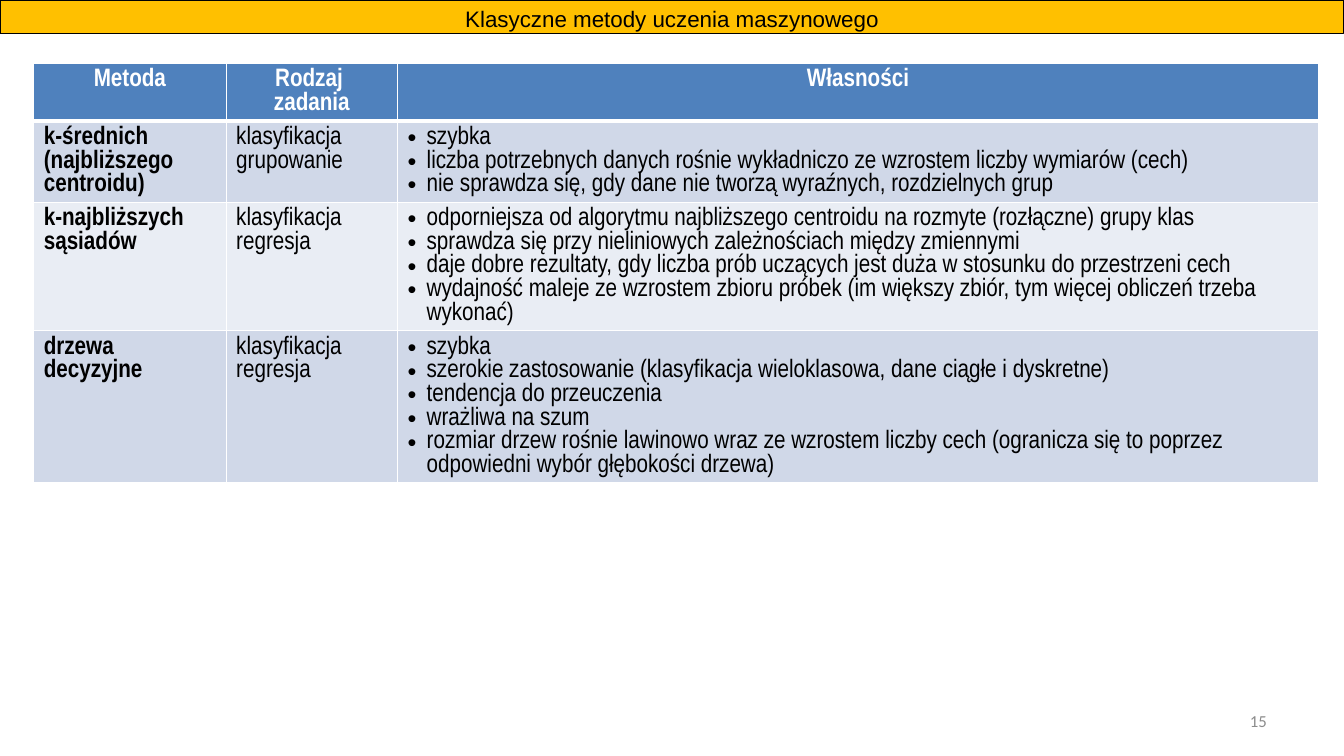
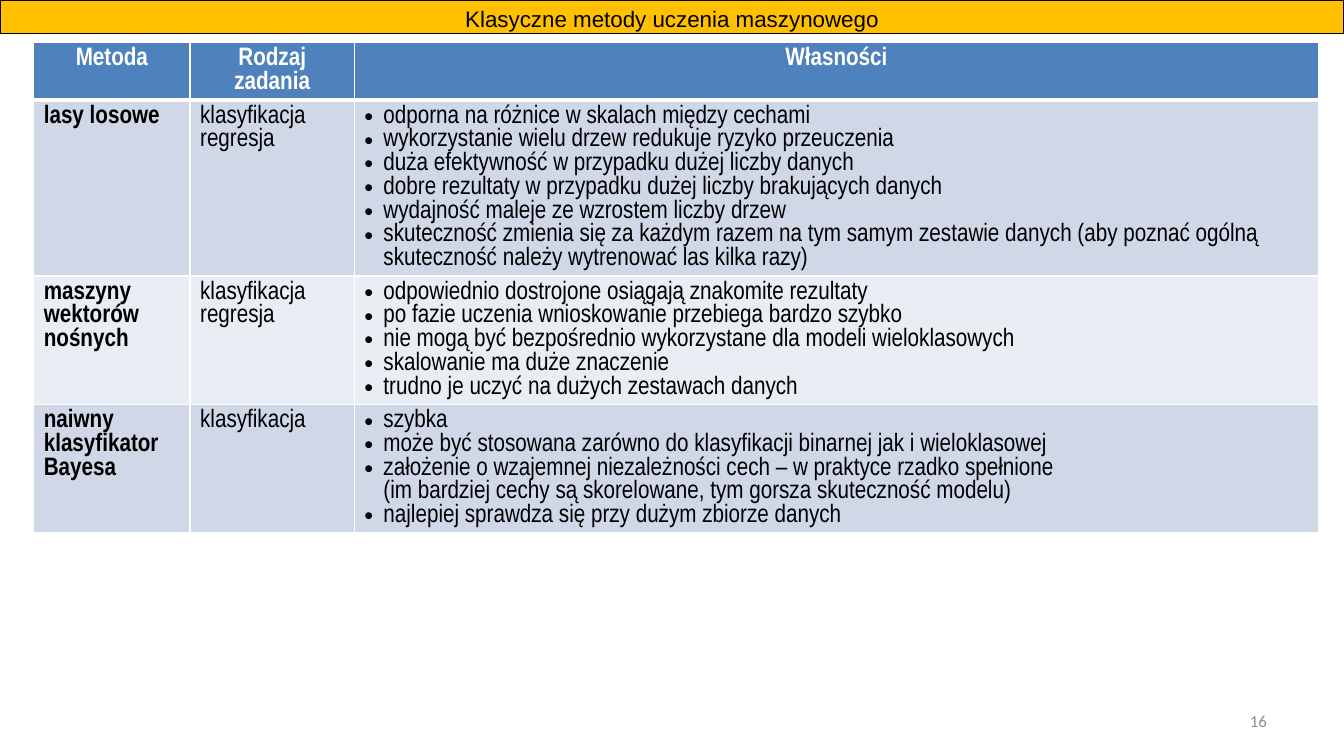
from copy import deepcopy

from lxml import etree
from pptx import Presentation
from pptx.dml.color import RGBColor
from pptx.enum.text import MSO_ANCHOR, MSO_AUTO_SIZE, PP_ALIGN
from pptx.oxml.ns import qn
from pptx.util import Cm, Pt

CENTER, LEFT, RIGHT = PP_ALIGN.CENTER, PP_ALIGN.LEFT, PP_ALIGN.RIGHT
TOP, MIDDLE = MSO_ANCHOR.TOP, MSO_ANCHOR.MIDDLE
NO_AUTOFIT = MSO_AUTO_SIZE.NONE

WHITE = RGBColor(0xFF, 0xFF, 0xFF)
BLACK = RGBColor(0x00, 0x00, 0x00)
AMBER = RGBColor(0xFF, 0xC0, 0x00)
GRAY = RGBColor(0x8C, 0x8C, 0x8C)
BLUE = RGBColor(0x4F, 0x81, 0xBD)
BANDS = (RGBColor(0xD0, 0xD8, 0xE8), RGBColor(0xE9, 0xED, 0xF4))

SLIDE_WIDTH, SLIDE_HEIGHT = Cm(33.87), Cm(19.05)
TABLE_LEFT, TABLE_WIDTH = Cm(0.85), Cm(32.38)
ROW_HEIGHT = Cm(1.03)
BULLET_INDENT = Cm(0.48)
THIN, THICK = Pt(1), Pt(3)
TITLE_ONLY = 5

TITLE = "Klasyczne metody uczenia maszynowego"
TITLE_FONT = {"name": "Arial", "size": Pt(16), "bold": False}
NUMBER_FONT = {"name": "Calibri", "size": Pt(12)}
CELL_FONT = {"name": "Arial Narrow", "size": Pt(18)}

SLIDES = [
    {
        "number": 15,
        "top": Cm(1.6),
        "first_widths": (Cm(4.85), Cm(4.32)),
        "rows": [
            ("Metoda", "Rodzaj \vzadania", "Własności"),
            (
                "k-średnich\v(najbliższego centroidu)",
                "klasyfikacja\ngrupowanie",
                "szybka\n"
                "liczba potrzebnych danych rośnie wykładniczo ze wzrostem liczby wymiarów (cech)\n"
                "nie sprawdza się, gdy dane nie tworzą wyraźnych, rozdzielnych grup",
            ),
            (
                "k-najbliższych sąsiadów",
                "klasyfikacja \vregresja",
                "odporniejsza od algorytmu najbliższego centroidu na rozmyte (rozłączne) grupy klas\n"
                "sprawdza się przy nieliniowych zależnościach między zmiennymi\n"
                "daje dobre rezultaty, gdy liczba prób uczących jest duża w stosunku do przestrzeni cech\n"
                "wydajność maleje ze wzrostem zbioru próbek (im większy zbiór, tym więcej obliczeń "
                "trzeba wykonać)",
            ),
            (
                "drzewa decyzyjne",
                "klasyfikacja\nregresja",
                "szybka\n"
                "szerokie zastosowanie (klasyfikacja wieloklasowa, dane ciągłe i dyskretne)\n"
                "tendencja do przeuczenia\n"
                "wrażliwa na szum\n"
                "rozmiar drzew rośnie lawinowo wraz ze wzrostem liczby cech (ogranicza się to poprzez "
                "odpowiedni wybór głębokości drzewa)",
            ),
        ],
    },
    {
        "number": 16,
        "top": Cm(1.07),
        "first_widths": (Cm(3.94), Cm(4.14)),
        "rows": [
            ("Metoda", "Rodzaj zadania", "Własności"),
            (
                "lasy losowe",
                "klasyfikacja\nregresja",
                "odporna na różnice w skalach między cechami\n"
                "wykorzystanie wielu drzew redukuje ryzyko przeuczenia\n"
                "duża efektywność w przypadku dużej liczby danych\n"
                "dobre rezultaty w przypadku dużej liczby brakujących danych\n"
                "wydajność maleje ze wzrostem liczby drzew\n"
                "skuteczność zmienia się za każdym razem na tym samym zestawie danych (aby poznać "
                "ogólną skuteczność należy wytrenować las kilka razy)",
            ),
            (
                "maszyny wektorów nośnych",
                "klasyfikacja\nregresja",
                "odpowiednio dostrojone osiągają znakomite rezultaty\n"
                "po fazie uczenia wnioskowanie przebiega bardzo szybko\n"
                "nie mogą być bezpośrednio wykorzystane dla modeli wieloklasowych\n"
                "skalowanie ma duże znaczenie\n"
                "trudno je uczyć na dużych zestawach danych",
            ),
            (
                "naiwny klasyfikator Bayesa",
                "klasyfikacja",
                "szybka\n"
                "może być stosowana zarówno do klasyfikacji binarnej jak i wieloklasowej\n"
                "założenie o wzajemnej niezależności cech – w praktyce rzadko spełnione \v"
                "(im bardziej cechy są skorelowane, tym gorsza skuteczność modelu)\n"
                "najlepiej sprawdza się przy dużym zbiorze danych",
            ),
        ],
    },
]


def set_attributes(target, values):
    """Set every attribute named in a dict."""
    for name, value in values.items():
        setattr(target, name, value)


def add_bullet(paragraph):
    """Give a paragraph a hanging round bullet."""
    properties = paragraph._p.get_or_add_pPr()
    properties.set("marL", str(BULLET_INDENT))
    properties.set("indent", str(-BULLET_INDENT))
    etree.SubElement(properties, qn("a:buFont")).set("typeface", "Arial")
    etree.SubElement(properties, qn("a:buChar")).set("char", "•")


def write_text(text_frame, text, font, color, alignment=LEFT, bulleted=False):
    """Fill a text frame with formatted paragraphs, one per line."""
    text_frame.text = text
    for paragraph in text_frame.paragraphs:
        if bulleted:
            add_bullet(paragraph)
        paragraph.alignment = alignment
        for run in paragraph.runs:
            set_attributes(run.font, font)
            run.font.color.rgb = color
        run_properties = paragraph._p.find(".//" + qn("a:rPr"))
        for line_break in paragraph._p.findall(qn("a:br")):
            line_break.append(deepcopy(run_properties))


def add_title_band(slide):
    """Turn the title placeholder into the band across the top."""
    title = slide.shapes.title
    set_attributes(title, {"left": 0, "top": 0, "width": SLIDE_WIDTH, "height": Cm(0.84)})
    title.fill.solid()
    title.fill.fore_color.rgb = AMBER
    title.line.color.rgb = BLACK
    title.line.width = Pt(0.75)
    write_text(title.text_frame, TITLE, TITLE_FONT, BLACK, CENTER)
    set_attributes(title.text_frame, {"vertical_anchor": TOP, "auto_size": NO_AUTOFIT})


def add_slide_number(slide, number):
    """Add the slide number at the bottom right."""
    box = slide.shapes.add_textbox(Cm(24.28), Cm(17.65), Cm(7.9), Cm(1.02))
    set_attributes(box.text_frame, {"word_wrap": True, "vertical_anchor": MIDDLE})
    write_text(box.text_frame, str(number), NUMBER_FONT, GRAY, RIGHT)


def set_borders(cell, top, bottom):
    """Draw white cell borders with the given top and bottom widths."""
    properties = cell._tc.get_or_add_tcPr()
    for side, width in (("L", THIN), ("R", THIN), ("T", top), ("B", bottom)):
        line = etree.SubElement(properties, qn(f"a:ln{side}"), w=str(width))
        fill = etree.SubElement(line, qn("a:solidFill"))
        etree.SubElement(fill, qn("a:srgbClr"), val=str(WHITE))


def format_cell(cell, text, row, column):
    """Write and style a cell according to its place in the table."""
    header = row == 0
    set_borders(cell, THICK if row == 1 else THIN, THICK if header else THIN)
    cell.fill.solid()
    cell.fill.fore_color.rgb = BLUE if header else BANDS[(row - 1) % 2]
    write_text(
        cell.text_frame,
        text,
        {**CELL_FONT, "bold": header or column == 0},
        WHITE if header else BLACK,
        CENTER if header else LEFT,
        bulleted=not header and column == 2,
    )


def add_methods_table(slide, top, first_widths, rows):
    """Add the table of methods; the last column takes the remaining width."""
    widths = (*first_widths, TABLE_WIDTH - sum(first_widths))
    table = slide.shapes.add_table(
        len(rows), len(widths), TABLE_LEFT, top, TABLE_WIDTH, ROW_HEIGHT * len(rows)
    ).table
    for column, width in zip(table.columns, widths):
        column.width = width
    for row, texts in enumerate(rows):
        for column, text in enumerate(texts):
            format_cell(table.cell(row, column), text, row, column)


def main():
    """Build and save the presentation."""
    presentation = Presentation()
    set_attributes(presentation, {"slide_width": SLIDE_WIDTH, "slide_height": SLIDE_HEIGHT})
    for content in SLIDES:
        slide = presentation.slides.add_slide(presentation.slide_layouts[TITLE_ONLY])
        add_title_band(slide)
        add_methods_table(slide, content["top"], content["first_widths"], content["rows"])
        add_slide_number(slide, content["number"])
    presentation.save("out.pptx")


if __name__ == "__main__":
    main()
